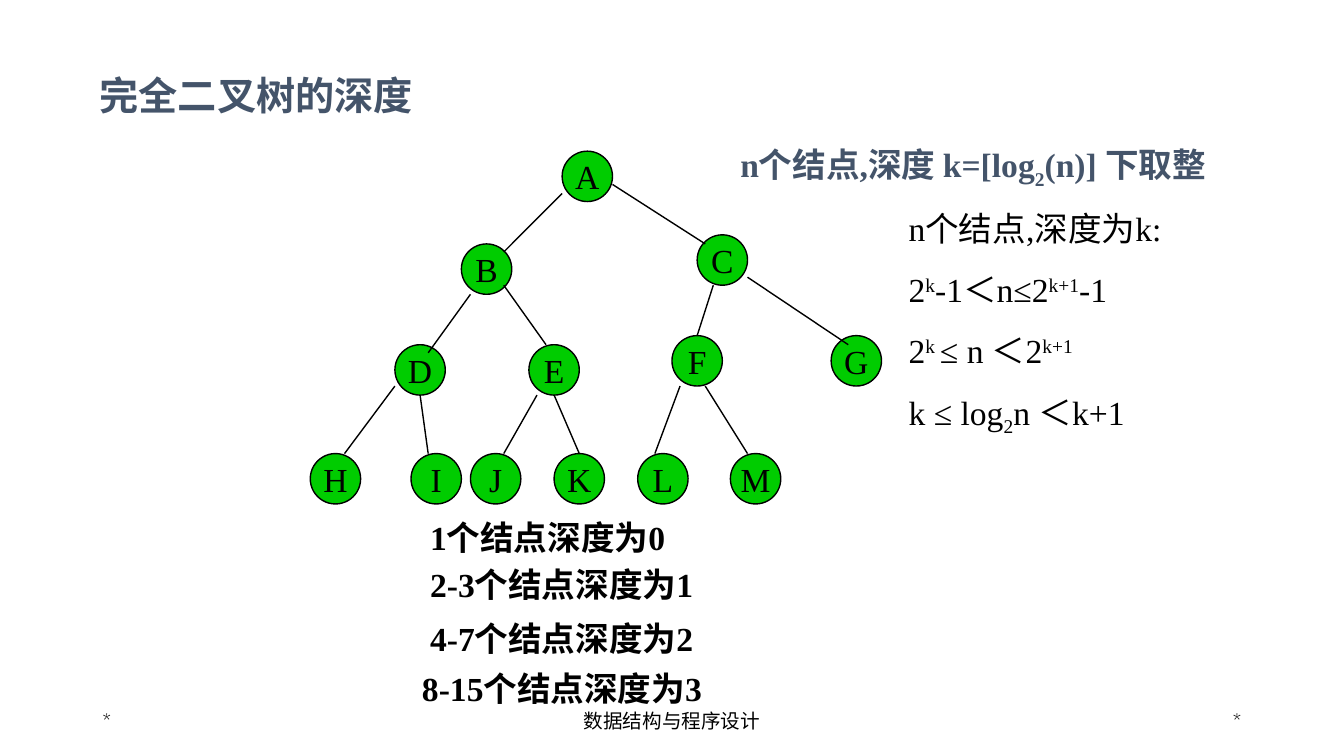
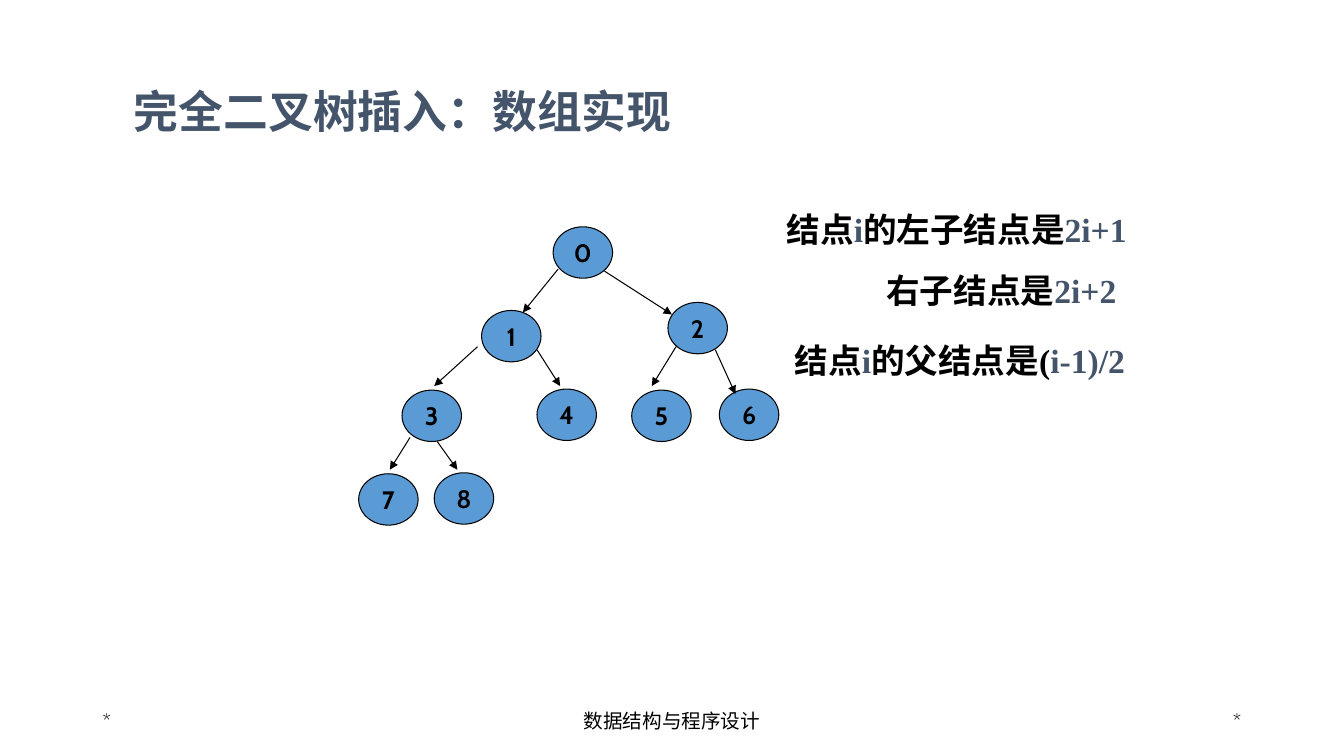
from lxml import etree
from pptx import Presentation
from pptx.dml.color import RGBColor
from pptx.enum import shapes, text
from pptx.oxml.ns import qn
from pptx.util import Inches, Pt

SLATE, BLACK, GREEN, BLUE = "44546A", "000000", "00CC00", "5B9BD5"
SERIF, SANS = "Times New Roman", "Cabin"
LEFT, CENTER, RIGHT = text.PP_ALIGN.LEFT, text.PP_ALIGN.CENTER, text.PP_ALIGN.RIGHT
TOP, MIDDLE = text.MSO_ANCHOR.TOP, text.MSO_ANCHOR.MIDDLE
SUB, SUP = -25, 30


def rgb(value):
    return RGBColor.from_string(value)


def write(tf, lines, size=24, font=SERIF, color=BLACK, bold=False,
          align=LEFT, anchor=TOP, wrap=True, before=15):
    """Each line is a list of runs: a string, or (string, colour, baseline)."""
    tf.word_wrap = wrap
    tf.auto_size = text.MSO_AUTO_SIZE.NONE
    tf.vertical_anchor = anchor
    for i, line in enumerate(lines):
        p = tf.paragraphs[0] if i == 0 else tf.add_paragraph()
        p.alignment = align
        p.space_before = Pt(before if i else 0)
        for part in line:
            words, tint, base = (part, color, 0) if isinstance(part, str) else part
            r = p.add_run()
            r.text = words
            r.font.size, r.font.name, r.font.bold = Pt(size), font, bold
            r.font.color.rgb = rgb(tint)
            if base:
                r.font._element.set("baseline", str(base * 1000))


def add_text(s, box, lines, **style):
    sp = s.shapes.add_textbox(*map(Inches, box))
    write(sp.text_frame, lines, **style)
    return sp


def add_title(s, box, words, size, font):
    sp = s.shapes.title
    sp.left, sp.top, sp.width, sp.height = map(Inches, box)
    write(sp.text_frame, [[words]], size=size, font=font, color=SLATE, bold=True)


def add_footer(s, top=6.95, height=0.4):
    for left, width, words, align in ((0.92, 3, "*", LEFT),
                                      (4.42, 4.5, "数据结构与程序设计", CENTER),
                                      (9.42, 3, "*", RIGHT)):
        add_text(s, (left, top, width, height), [[words]], size=14, font=SANS,
                 align=align, anchor=MIDDLE)


def add_tree(s, x, y, nodes, edges, node_size, fill, weight, arrows=False, **label):
    """Draws nodes and edges relative to the tree's corner (x, y)."""
    for name, (left, top) in nodes.items():
        sp = s.shapes.add_shape(shapes.MSO_SHAPE.OVAL, Inches(x + left), Inches(y + top),
                                *map(Inches, node_size))
        sp.shadow.inherit = False
        sp.fill.solid()
        sp.fill.fore_color.rgb = rgb(fill)
        sp.line.color.rgb = rgb(BLACK)
        sp.line.width = Pt(weight)
        write(sp.text_frame, [[name]], align=CENTER, anchor=MIDDLE, wrap=False, **label)
    for x1, y1, x2, y2 in edges:
        edge = s.shapes.add_connector(shapes.MSO_CONNECTOR.STRAIGHT, Inches(x + x1),
                                      Inches(y + y1), Inches(x + x2), Inches(y + y2))
        edge.line.color.rgb = rgb(BLACK)
        edge.line.width = Pt(weight)
        if arrows:
            etree.SubElement(edge.line._get_or_add_ln(), qn("a:tailEnd"), type="triangle")
        etree.SubElement(edge._element.spPr, qn("a:effectLst"))


def new_slide(prs):
    s = prs.slides.add_slide(prs.slide_layouts[5])
    add_footer(s)
    return s


def depth_slide(prs):
    s = new_slide(prs)
    add_title(s, (0.89, 0.66, 4.11, 0.57), "完全二叉树的深度", 28, SERIF)

    # Lettered tree
    nodes = {"A": (2.5, 0), "B": (1.5, 0.92), "C": (3.84, 0.83), "D": (0.84, 1.92),
             "E": (2.17, 1.92), "F": (3.59, 1.83), "G": (5.17, 1.83), "H": (0, 3),
             "I": (1, 3), "J": (1.59, 3), "K": (2.42, 3), "L": (3.25, 3), "M": (4.17, 3)}
    edges = [(2.5, 0.42, 1.92, 1), (3, 0.33, 3.92, 0.92),
             (1.59, 1.42, 1.17, 2), (1.92, 1.33, 2.34, 1.92),
             (4, 1.33, 3.84, 1.83), (4.34, 1.25, 5.34, 1.92),
             (0.84, 2.33, 0.34, 3), (1.09, 2.42, 1.17, 3),
             (2.25, 2.42, 1.92, 3), (2.42, 2.42, 2.67, 3),
             (3.67, 2.33, 3.42, 3), (3.92, 2.33, 4.34, 3)]
    add_tree(s, 3.08, 1.5, nodes, edges, (0.5, 0.5), GREEN, 1)

    # Depth formula and its derivation
    add_text(s, (7.25, 1.38, 5.47, 0.56),
             [["n个结点,深度 k=[log", ("2", SLATE, SUB), "(n)] 下取整"]],
             color=SLATE, bold=True)
    k, k1 = ("k", BLACK, SUP), ("k+1", BLACK, SUP)
    add_text(s, (8.92, 2.01, 2.75, 3.39),
             [["n个结点,深度为k:"],
              ["2", k, "-1＜n≤2", k1, "-1"],
              ["2", ("k ", BLACK, SUP), "≤ n ＜2", k1],
              ["k ≤ log", ("2", BLACK, SUB), "n ＜k+1"]])

    # Depth for each range of node counts
    rows = ((4.17, 5.08, "1"), (4.17, 5.55, "2-3"), (4.17, 6.08, "4-7"), (4.09, 6.58, "8-15"))
    for depth, (left, top, count) in enumerate(rows):
        add_text(s, (left, top, 4.08, 0.5), [[f"{count}个结点深度为{depth}"]], bold=True)


def array_slide(prs):
    s = new_slide(prs)
    add_title(s, (1.23, 0.78, 11.62, 0.64), "完全二叉树插入：数组实现", 32, SANS)

    # Tree numbered by array index
    nodes = {"0": (1.93, 0), "1": (1.22, 0.83), "2": (3.07, 0.75),
             "3": (0.43, 1.62), "4": (1.77, 1.61), "5": (2.71, 1.62),
             "6": (3.58, 1.61), "7": (0, 2.45), "8": (0.75, 2.44)}
    edges = [(1.98, 0.42, 1.63, 0.85), (2.44, 0.44, 3.11, 0.87),
             (1.18, 1.19, 0.75, 1.58), (1.77, 1.22, 2, 1.58),
             (3.15, 1.19, 2.91, 1.58), (3.54, 1.22, 3.74, 1.66),
             (0.51, 2.09, 0.31, 2.41), (0.78, 2.13, 0.98, 2.41)]
    add_tree(s, 3.56, 2.25, nodes, edges, (0.59, 0.51), BLUE, 0.75, arrows=True,
             size=18, font=SANS, bold=True)

    # Index rules for children and parent
    i = ("i", SLATE, 0)
    children = add_text(s, (7.71, 2.02, 3.96, 1.11),
                        [["结点", i, "的左子结点是", ("2i+1", SLATE, 0)],
                         ["右子结点是", ("2i+2", SLATE, 0)]], bold=True)
    right_child = children.text_frame.paragraphs[1]
    right_child._p.get_or_add_pPr().set("marL", str(Inches(0.99)))
    add_text(s, (7.79, 3.32, 3.87, 0.5),
             [["结点", i, "的父结点是(", ("i-1)/2", SLATE, 0)]], bold=True)


def main():
    prs = Presentation()
    prs.slide_width, prs.slide_height = Inches(13.34), Inches(7.5)
    depth_slide(prs)
    array_slide(prs)
    prs.save("out.pptx")


if __name__ == "__main__":
    main()
